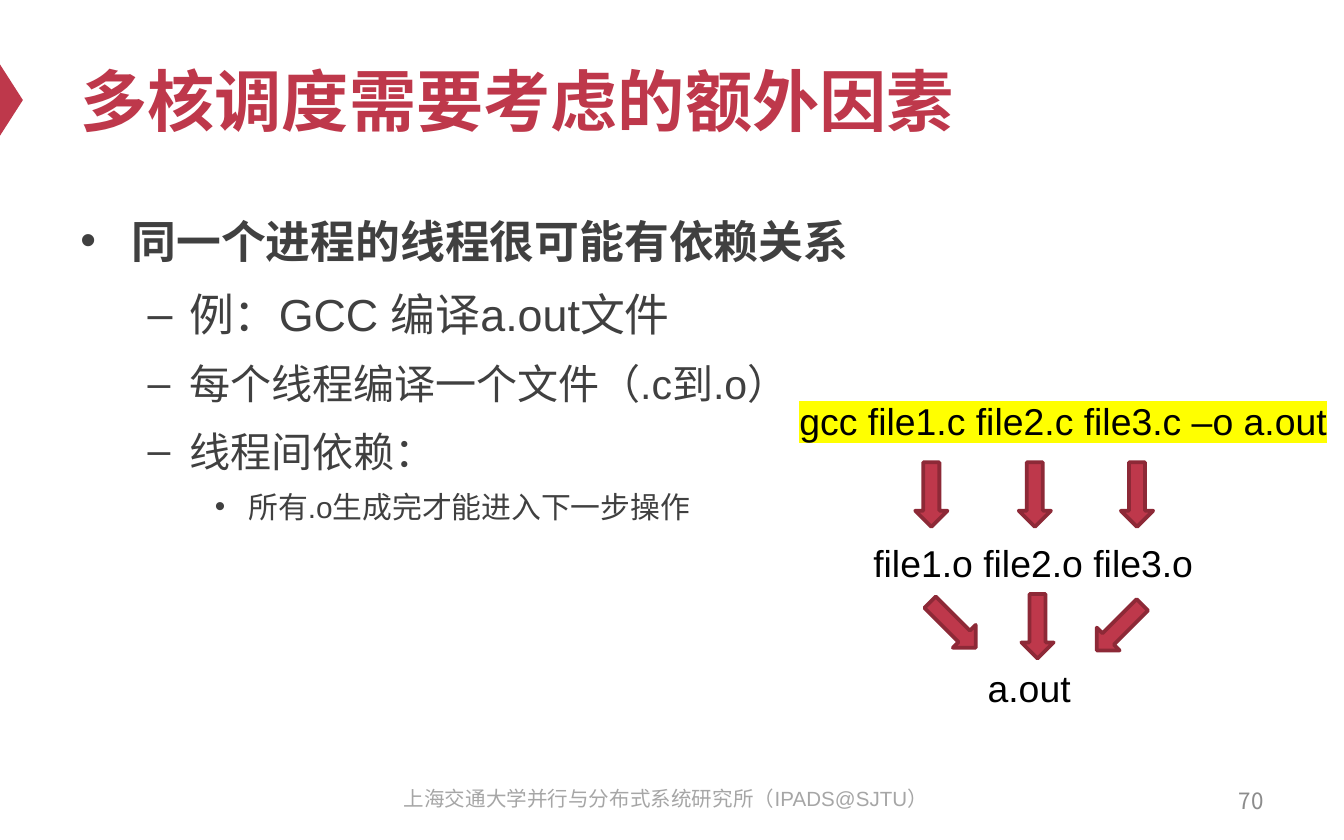
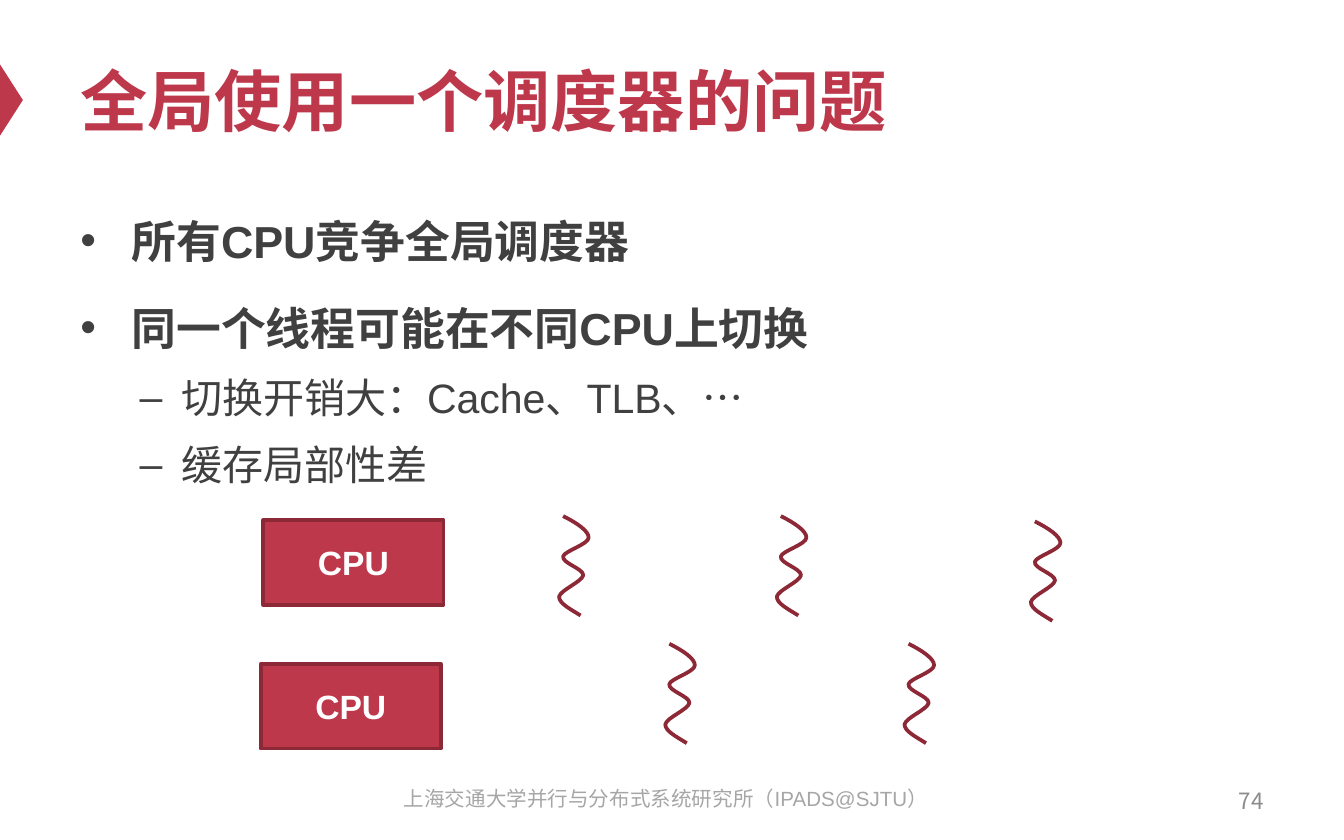
from dataclasses import dataclass

import lxml.etree
import pptx
import pptx.dml.color
import pptx.enum.shapes
import pptx.enum.text
import pptx.oxml.ns
import pptx.util
from pptx.util import Inches

SHAPES = pptx.enum.shapes.MSO_SHAPE
ALIGN = pptx.enum.text.PP_ALIGN
ANCHOR = pptx.enum.text.MSO_ANCHOR


@dataclass(frozen=True)
class Theme:
    red: str = "BE384B"
    dark_red: str = "8D2937"
    white: str = "FFFFFF"
    black: str = "000000"
    body: str = "404040"
    footer: str = "A6A6A6"
    number: str = "8C8C8C"
    highlight: str = "FFFF00"
    font: str = "Arial"
    cjk_font: str = "Noto Sans CJK SC"
    title_size: int = 36
    heading_size: int = 24
    item_size: int = 22
    code_size: int = 20
    label_size: int = 18
    detail_size: int = 16
    number_size: int = 12
    footer_size: int = 11
    outline: int = 2


THEME = Theme()
FOOTER = "上海交通大学并行与分布式系统研究所（IPADS@SJTU）"

# Bullet level: character, text indent, hanging indent, kind and value of space before
BULLETS = (
    ("•", 0.38, 0.38, "a:spcPts", 1200),
    ("–", 0.81, 0.31, "a:spcPct", 20000),
    ("•", 1.25, 0.25, "a:spcPct", 20000),
)

# Thread outline relative to its left top corner: start, then Bezier segments
THREAD_START = (0.03, 0)
THREAD_CURVES = (
    ((0.13, 0.05), (0.22, 0.11), (0.22, 0.16)),
    ((0.22, 0.21), (0.04, 0.26), (0.03, 0.30)),
    ((0.02, 0.35), (0.18, 0.39), (0.18, 0.44)),
    ((0.17, 0.49), (0.01, 0.55), (0, 0.60)),
    ((0, 0.65), (0.08, 0.69), (0.16, 0.74)),
)


def rgb(value):
    return pptx.dml.color.RGBColor.from_string(value)


def add_node(parent, tag, **attributes):
    node = lxml.etree.SubElement(parent, pptx.oxml.ns.qn(tag))
    for name, value in attributes.items():
        node.set(name, str(value))
    return node


def write(para, text, *, size, color, font=THEME.font, bold=False, highlight=None):
    """Add formatted text to a paragraph."""
    span = para.add_run()
    span.text = text
    span.font.size = pptx.util.Pt(size)
    span.font.bold = bold
    span.font.color.rgb = rgb(color)
    properties = span.font._element
    if highlight:
        add_node(add_node(properties, "a:highlight"), "a:srgbClr", val=highlight)
    span.font.name = font
    add_node(properties, "a:ea", typeface=THEME.cjk_font)


class SlideBuilder:
    def __init__(self, deck, theme):
        self.deck = deck
        self.theme = theme
        self.slide = None

    def start(self, title, number):
        """Open a slide with its marker, title, footer and number."""
        theme = self.theme
        self.slide = self.deck.slides.add_slide(self.deck.slide_layouts[6])
        self.shape(SHAPES.ISOSCELES_TRIANGLE, -0.18, 0.66, 0.53, 0.17,
                   rotation=90, outlined=False)
        self.text(title, 0.5, 0.25, 9, 0.98, anchor=ANCHOR.MIDDLE,
                  size=theme.title_size, color=theme.red, bold=True)
        self.text(FOOTER, 2.79, 5.8, 4.33, 0.33, align=ALIGN.CENTER,
                  size=theme.footer_size, color=theme.footer)
        self.text(str(number), 7.17, 5.79, 2.33, 0.33, align=ALIGN.RIGHT,
                  anchor=ANCHOR.MIDDLE, size=theme.number_size,
                  color=theme.number, font=theme.cjk_font)

    def box(self, left, top, width, height):
        return self.slide.shapes.add_textbox(
            Inches(left), Inches(top), Inches(width), Inches(height))

    def text(self, text, left, top, width, height, *, align=ALIGN.LEFT,
             anchor=ANCHOR.TOP, wrap=True, **style):
        frame = self.box(left, top, width, height).text_frame
        frame.word_wrap = wrap
        if not wrap:
            frame.auto_size = pptx.enum.text.MSO_AUTO_SIZE.SHAPE_TO_FIT_TEXT
        frame.vertical_anchor = anchor
        para = frame.paragraphs[0]
        para.alignment = align
        write(para, text, **style)

    def code(self, text, left, top, width, highlight=None):
        self.text(text, left, top, width, 0.44, wrap=False, highlight=highlight,
                  size=self.theme.code_size, color=self.theme.black)

    def bullets(self, items, item_indent=BULLETS[1][1]):
        """Fill the body with (level, size, text) items."""
        frame = self.box(0.5, 1.46, 9, 4.12).text_frame
        frame.word_wrap = True
        for index, (level, size, text) in enumerate(items):
            para = frame.add_paragraph() if index else frame.paragraphs[0]
            para.level = level
            para.line_spacing = 1.2
            mark, indent, hanging, space_kind, space = BULLETS[level]
            if level == 1:
                indent = item_indent
            properties = para._p.get_or_add_pPr()
            properties.set("marL", str(Inches(indent)))
            properties.set("indent", str(-Inches(hanging)))
            if index:
                add_node(add_node(properties, "a:spcBef"), space_kind, val=space)
            add_node(properties, "a:buFont", typeface=self.theme.font)
            add_node(properties, "a:buChar", char=mark)
            write(para, text, size=size, color=self.theme.body, bold=level == 0)

    def shape(self, kind, left, top, width, height, *, rotation=0, outlined=True):
        shape = self.slide.shapes.add_shape(
            kind, Inches(left), Inches(top), Inches(width), Inches(height))
        shape.rotation = rotation
        shape.shadow.inherit = False
        shape.fill.solid()
        shape.fill.fore_color.rgb = rgb(self.theme.red)
        if outlined:
            self.outline(shape)
        else:
            shape.line.fill.background()
        return shape

    def outline(self, shape):
        shape.line.color.rgb = rgb(self.theme.dark_red)
        shape.line.width = pptx.util.Pt(self.theme.outline)

    def arrow(self, left, top, rotation=0):
        self.shape(SHAPES.DOWN_ARROW, left, top, 0.24, 0.48, rotation=rotation)

    def processor(self, left, top):
        frame = self.shape(SHAPES.RECTANGLE, left, top, 1.34, 0.63).text_frame
        frame.vertical_anchor = ANCHOR.MIDDLE
        para = frame.paragraphs[0]
        para.alignment = ALIGN.CENTER
        write(para, "CPU", size=self.theme.label_size,
              color=self.theme.white, bold=True)

    def thread(self, left, top):
        """Draw a wavy line whose segments are Bezier curves."""
        def place(point):
            return Inches(left + point[0]), Inches(top + point[1])

        builder = self.slide.shapes.build_freeform(*place(THREAD_START))
        builder.add_line_segments([place(curve[-1]) for curve in THREAD_CURVES], close=False)
        shape = builder.convert_to_shape()
        segments = list(shape._element.iter(pptx.oxml.ns.qn("a:lnTo")))
        for segment, curve in zip(segments, THREAD_CURVES):
            bezier = add_node(segment.getparent(), "a:cubicBezTo")
            for x, y in curve:
                add_node(bezier, "a:pt", x=Inches(x), y=Inches(y))
            segment.getparent().remove(segment)
        shape.shadow.inherit = False
        shape.fill.background()
        self.outline(shape)


def add_dependency_slide(builder):
    theme = builder.theme
    builder.start("多核调度需要考虑的额外因素", 70)
    builder.bullets((
        (0, theme.heading_size, "同一个进程的线程很可能有依赖关系"),
        (1, theme.heading_size, "例：GCC 编译a.out文件"),
        (1, theme.item_size, "每个线程编译一个文件（.c到.o）"),
        (1, theme.item_size, "线程间依赖："),
        (2, theme.detail_size, "所有.o生成完才能进入下一步操作"),
    ))
    builder.code("gcc file1.c file2.c file3.c –o a.out", 5.85, 2.91, 4.16,
                 highlight=theme.highlight)
    builder.code("file1.o file2.o file3.o", 6.4, 3.97, 2.6)
    builder.code("a.out", 7.25, 4.9, 0.82)
    for left in (6.81, 7.58, 8.34):
        builder.arrow(left, 3.44)
    for left, top, rotation in ((6.97, 4.41, 315), (7.6, 4.42, 0), (8.21, 4.43, 45)):
        builder.arrow(left, top, rotation)


def add_global_scheduler_slide(builder):
    theme = builder.theme
    builder.start("全局使用一个调度器的问题", 74)
    builder.bullets((
        (0, theme.heading_size, "所有CPU竞争全局调度器"),
        (0, theme.heading_size, "同一个线程可能在不同CPU上切换"),
        (1, theme.item_size, "切换开销大：Cache、TLB、…"),
        (1, theme.item_size, "缓存局部性差"),
    ), item_indent=0.75)
    for left, top in ((1.96, 3.87), (1.94, 4.94)):
        builder.processor(left, top)
    for left, top in ((4.16, 3.84), (4.95, 4.79), (5.78, 3.84), (6.73, 4.79), (7.67, 3.88)):
        builder.thread(left, top)


def main():
    deck = pptx.Presentation()
    deck.slide_width = Inches(10)
    deck.slide_height = Inches(6.25)
    builder = SlideBuilder(deck, THEME)
    add_dependency_slide(builder)
    add_global_scheduler_slide(builder)
    deck.save("out.pptx")


if __name__ == "__main__":
    main()
